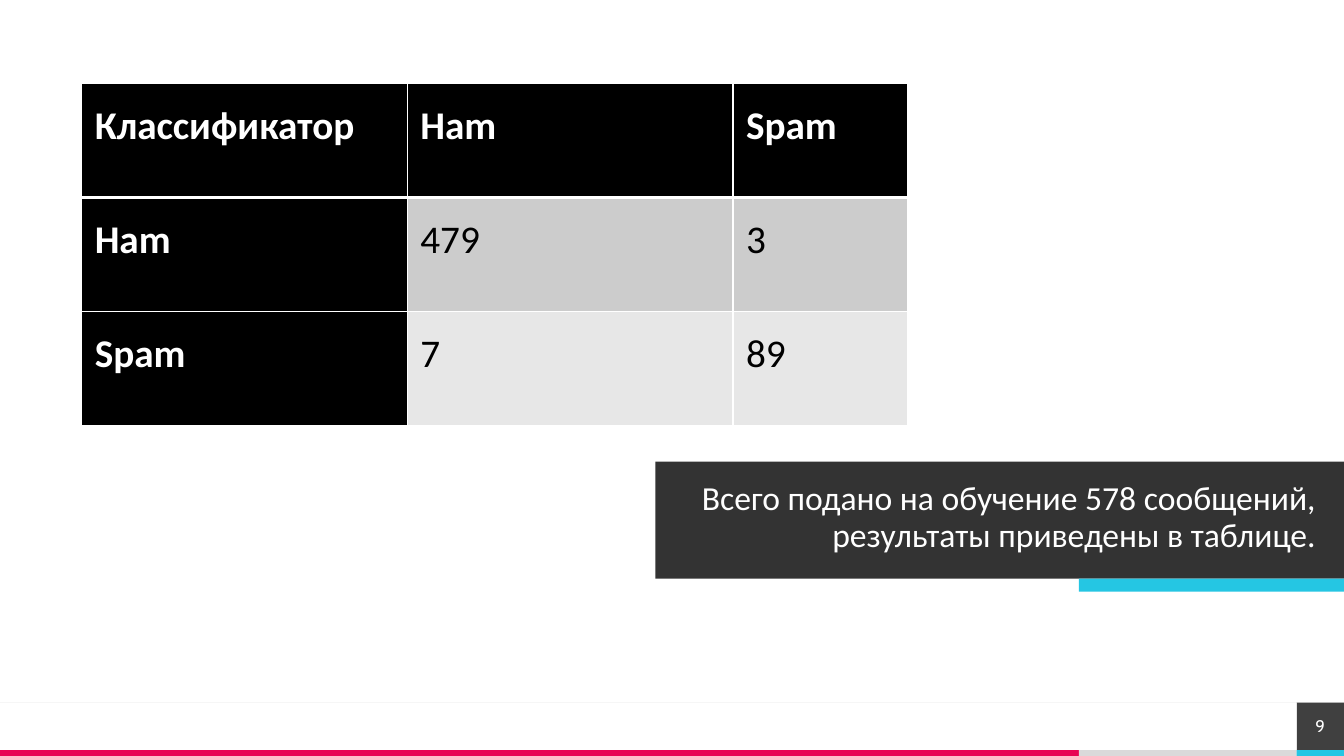
from lxml.etree import SubElement
from pptx import Presentation
from pptx.dml.color import RGBColor
from pptx.enum.shapes import MSO_CONNECTOR as Connector, MSO_SHAPE as Shape
from pptx.enum.text import MSO_ANCHOR as Anchor, MSO_AUTO_SIZE as AutoSize, PP_ALIGN as Align
from pptx.oxml.ns import qn
from pptx.util import Emu, Pt

SCALE = 9144  # 100 px to the inch
WIDTH, HEIGHT = 1333, 750
FOOTER_TOP, STRIPE_TOP = 697, 744
ACCENT_LEFT, NUMBER_LEFT = 1070, 1286
WHITE, BLACK, CYAN = "FFFFFF", "000000", "25C6E3"
SIDES = ("left", "right", "top", "bottom")


def px(length):
    return Emu(length * SCALE)


def paint(color_format, color):
    color_format.rgb = RGBColor.from_string(color)


def apply(target, values):
    for name, value in values.items():
        setattr(target, name, value)


def fill_solid(target, color):
    target.fill.solid()
    paint(target.fill.fore_color, color)


def write(paragraph, text, color, font, layout):
    paragraph.text = text
    apply(paragraph, layout)
    apply(paragraph.runs[0].font, font)
    paint(paragraph.runs[0].font.color, color)


def add_block(slide, box, color):
    shape = slide.shapes.add_shape(Shape.RECTANGLE, *map(px, box))
    shape.shadow.inherit = False
    fill_solid(shape, color)
    shape.line.fill.background()
    return shape


def add_footer(slide, box):
    left, top, width, height = box
    stripe_height = HEIGHT - STRIPE_TOP
    band_height = height - stripe_height
    number_width = left + width - NUMBER_LEFT

    # Rule above the footer
    rule = slide.shapes.add_connector(
        Connector.STRAIGHT, px(left + width), px(top), px(left), px(top))
    paint(rule.line.color, "F2F2F2")
    rule.line.width = Pt(0.5)
    SubElement(rule._element.spPr, qn("a:effectLst"))

    # Coloured stripe along the bottom edge
    edges = (left, ACCENT_LEFT, NUMBER_LEFT, left + width)
    for start, end, color in zip(edges, edges[1:], ("E80554", "DADADA", CYAN)):
        add_block(slide, (start, STRIPE_TOP, end - start, stripe_height), color)

    # Slide number and the white band beside it
    number = add_block(slide, (NUMBER_LEFT, top, number_width, band_height), "404040")
    frame = number.text_frame
    apply(frame, {f"margin_{side}": 0 for side in SIDES})
    frame.vertical_anchor = Anchor.MIDDLE
    write(frame.paragraphs[0], "9", WHITE, {"size": Pt(12), "name": "Cabin"},
          {"alignment": Align.CENTER})
    add_block(slide, (left, top, NUMBER_LEFT - left, band_height), WHITE)


def add_summary(slide, box, text):
    left, top, width, height = box
    body = slide.placeholders[1]
    apply(body, dict(zip(("left", "top", "width", "height"), map(px, box))))
    fill_solid(body, BLACK)
    color = body._element.spPr.find(".//" + qn("a:srgbClr"))
    SubElement(color, qn("a:alpha"), val="80000")

    frame = body.text_frame
    apply(frame, {"margin_left": px(20), "margin_right": px(28),
                  "margin_top": px(20), "margin_bottom": px(20),
                  "word_wrap": True, "auto_size": AutoSize.NONE,
                  "vertical_anchor": Anchor.TOP})
    paragraph = frame.paragraphs[0]
    properties = paragraph._p.get_or_add_pPr()
    properties.set("marL", "0")
    properties.set("indent", "0")
    SubElement(properties, qn("a:buNone"))
    write(paragraph, text, WHITE, {"size": Pt(24), "name": "Calibri"},
          {"alignment": Align.RIGHT, "line_spacing": 0.9, "space_before": Pt(0)})

    # Accent under the right part of the box
    add_block(slide, (ACCENT_LEFT, top + height, left + width - ACCENT_LEFT, 13), CYAN)


def set_borders(cell, bottom_width):
    properties = cell._tc.get_or_add_tcPr()
    widths = {"lnL": 1, "lnR": 1, "lnT": 1, "lnB": bottom_width}
    for position, (tag, width) in enumerate(widths.items()):
        border = SubElement(properties, qn(f"a:{tag}"), w=str(Pt(width)))
        fill = SubElement(border, qn("a:solidFill"))
        SubElement(fill, qn("a:srgbClr"), val=WHITE)
        properties.insert(position, border)


def add_results(slide, box, column_widths, rows):
    table = slide.shapes.add_table(len(rows), len(column_widths), *map(px, box)).table
    apply(table, {"first_row": False, "horz_banding": False})
    for column, width in zip(table.columns, column_widths):
        column.width = px(width)
    row_fills = (BLACK, "CCCCCC", "E7E7E7")
    for row_index, values in enumerate(rows):
        table.rows[row_index].height = px(box[3] // len(rows))
        for column_index, value in enumerate(values):
            cell = table.cell(row_index, column_index)
            heading = row_index == 0 or column_index == 0
            fill_solid(cell, BLACK if heading else row_fills[row_index])
            set_borders(cell, 3 if row_index == 0 else 1)
            apply(cell, {f"margin_{side}": px(13) for side in SIDES})
            cell.vertical_anchor = Anchor.MIDDLE
            write(cell.text_frame.paragraphs[0], value, WHITE if heading else BLACK,
                  {"size": Pt(28), "name": "Calibri", "bold": heading},
                  {"line_spacing": Pt(13.8)})


def main():
    presentation = Presentation()
    apply(presentation, {"slide_width": px(WIDTH), "slide_height": px(HEIGHT)})
    slide = presentation.slides.add_slide(presentation.slide_layouts[1])
    title = slide.shapes.title._element
    title.getparent().remove(title)

    add_summary(slide, (650, 458, 683, 116),
                "Всего подано на обучение 578 сообщений, результаты приведены в таблице.")
    add_results(slide, (81, 83, 819, 339), (323, 323, 173),
                (("Классификатор", "Ham", "Spam"),
                 ("Ham", "479", "3"),
                 ("Spam", "7", "89")))
    add_footer(slide, (0, FOOTER_TOP, WIDTH, HEIGHT - FOOTER_TOP))
    presentation.save("out.pptx")


if __name__ == "__main__":
    main()
